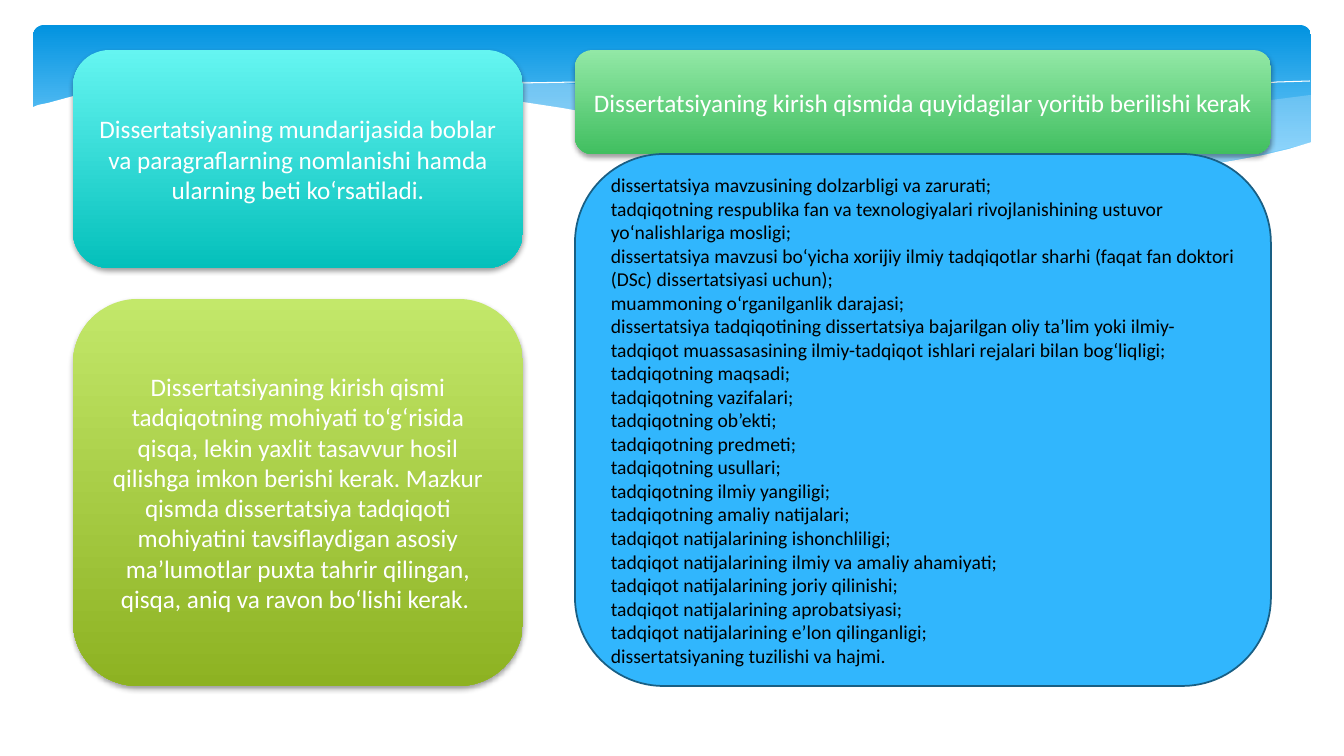
from lxml.etree import SubElement
from pptx import Presentation
from pptx.dml.color import RGBColor
from pptx.enum.shapes import MSO_SHAPE as Preset
from pptx.enum.text import MSO_ANCHOR as Anchor, PP_ALIGN as Align
from pptx.oxml.ns import qn
from pptx.util import Pt

PX = 914400 / 100.8
FONT = "Calibri"
WHITE = RGBColor(0xFF, 0xFF, 0xFF)
BLACK = RGBColor(0, 0, 0)
PALE_BLUE = RGBColor(0xC6, 0xE7, 0xFC)
BLUE = RGBColor(0x31, 0xB6, 0xFD)
DARK_BLUE = RGBColor(0x19, 0x5F, 0x84)
BANNER_BLUES = RGBColor(0x02, 0x93, 0xE0), RGBColor(0x83, 0xD3, 0xFE)
TEALS = RGBColor(0x65, 0xF5, 0xF1), RGBColor(0x04, 0xC0, 0xBB)
LIMES = RGBColor(0xC3, 0xE8, 0x6A), RGBColor(0x8D, 0xB2, 0x22)
GREENS = RGBColor(0x92, 0xE8, 0xA6), RGBColor(0x41, 0xBF, 0x60)

CARDS = [
    ((73, 50, 450, 218), TEALS,
     "Dissertatsiyaning mundarijasida boblar va paragraflarning nomlanishi "
     "hamda ularning beti ko‘rsatiladi."),
    ((73, 299, 450, 387), LIMES,
     "Dissertatsiyaning kirish qismi tadqiqotning mohiyati to‘g‘risida qisqa, "
     "lekin yaxlit tasavvur hosil qilishga imkon berishi kerak. Mazkur qismda "
     "dissertatsiya tadqiqoti mohiyatini tavsiflaydigan asosiy ma’lumotlar "
     "puxta tahrir qilingan, qisqa, aniq va ravon bo‘lishi kerak. "),
    ((575, 50, 696, 104), GREENS,
     "Dissertatsiyaning kirish qismida quyidagilar yoritib berilishi kerak"),
]
INTRO_PARTS = [
    "dissertatsiya mavzusining dolzarbligi va zarurati;",
    "tadqiqotning respublika fan va texnologiyalari rivojlanishining ustuvor "
    "yo‘nalishlariga mosligi;",
    "dissertatsiya mavzusi bo‘yicha xorijiy ilmiy tadqiqotlar sharhi (faqat fan "
    "doktori (DSc) dissertatsiyasi uchun);",
    "muammoning o‘rganilganlik darajasi;",
    "dissertatsiya tadqiqotining dissertatsiya bajarilgan oliy ta’lim yoki "
    "ilmiy-tadqiqot muassasasining ilmiy-tadqiqot ishlari rejalari bilan "
    "bog‘liqligi;",
    "tadqiqotning maqsadi;",
    "tadqiqotning vazifalari;",
    "tadqiqotning ob’ekti;",
    "tadqiqotning predmeti;",
    "tadqiqotning usullari;",
    "tadqiqotning ilmiy yangiligi;",
    "tadqiqotning amaliy natijalari;",
    "tadqiqot natijalarining ishonchliligi;",
    "tadqiqot natijalarining ilmiy va amaliy ahamiyati;",
    "tadqiqot natijalarining joriy qilinishi;",
    "tadqiqot natijalarining aprobatsiyasi;",
    "tadqiqot natijalarining e’lon qilinganligi;",
    "dissertatsiyaning tuzilishi va hajmi.",
]

RIGHT_WAVE = [
    (1310, 95), (1256, 102), (1197, 111), (1156, 119), (1119, 126), (1046, 138),
    (980, 148), (889, 161), (947, 166), (1001, 170), (1049, 173), (1094, 173),
    (1135, 172), (1172, 169), (1206, 165), (1238, 159), (1267, 153), (1311, 143),
    (1311, 95)]
MIDDLE_WAVE = [
    (1200, 168), (1163, 165), (1125, 160), (1042, 150), (949, 135), (846, 117),
    (784, 107), (727, 98), (674, 93), (624, 89), (564, 83), (510, 81), (463, 81),
    (421, 83), (385, 87), (434, 91), (487, 98), (543, 107), (604, 117), (659, 127),
    (712, 136), (761, 144), (808, 151), (853, 157), (894, 162), (933, 166),
    (971, 169), (1006, 171), (1038, 173), (1070, 174), (1113, 174), (1153, 172)]
FALLING_LINE = [
    (415, 91), (441, 87), (474, 84), (520, 83), (582, 82), (630, 84), (685, 87),
    (748, 92), (817, 99), (893, 109), (978, 121), (1068, 137), (1167, 156),
    (1220, 167)]
RISING_LINE = [
    (825, 152), (877, 142), (934, 131), (1005, 118), (1084, 105), (1164, 94),
    (1223, 87), (1277, 82), (1310, 81)]
WHITE_WAVE = [
    (1312, 142), (1289, 149), (1264, 155), (1237, 160), (1208, 165), (1176, 168),
    (1143, 171), (1106, 172), (1066, 172), (1023, 171), (977, 168), (925, 164),
    (870, 157), (810, 150), (746, 140), (676, 129), (601, 115), (562, 108),
    (490, 97), (424, 89), (364, 83), (308, 79), (260, 79), (216, 80), (177, 81),
    (143, 84), (114, 88), (90, 92), (70, 97), (48, 103), (38, 105), (31, 108),
    (31, 226), (1313, 226), (1313, 141)]


def px(length):
    return round(length * PX)


def add_alpha(color, percent):
    SubElement(color, qn("a:alpha"), val=str(percent * 1000))


def add_rounded(box):
    shape = slide.shapes.add_shape(Preset.ROUNDED_RECTANGLE, *map(px, box))
    shape.shadow.inherit = False
    shape.line.fill.background()
    return shape


def fill_gradient(shape, colors, end=1):
    shape.fill.gradient()
    shape.fill.gradient_angle = 270
    for stop, color, position in zip(shape.fill.gradient_stops, colors, (0, end)):
        stop.color.rgb = color
        stop.position = position


def add_drop_shadow(shape):
    effects = shape._element.spPr.find(qn("a:effectLst"))
    shadow = SubElement(effects, qn("a:outerShdw"), blurRad=str(Pt(4)),
                        dist=str(Pt(2)), dir="5400000", rotWithShape="0")
    add_alpha(SubElement(shadow, qn("a:srgbClr"), val=str(BLACK)), 38)


def write(shape, texts, size, color, align):
    frame = shape.text_frame
    frame.word_wrap = True
    frame.vertical_anchor = Anchor.MIDDLE
    frame.text = "\n".join(texts)
    for paragraph in frame.paragraphs:
        paragraph.alignment = align
        paragraph.font.name = FONT
        paragraph.font.size = Pt(size)
        paragraph.font.color.rgb = color


def add_outline(points, closed):
    builder = slide.shapes.build_freeform(*points[0], scale=PX)
    builder.add_line_segments(points[1:], close=closed)
    shape = builder.convert_to_shape()
    shape.shadow.inherit = False
    return shape


def add_wave(points, color, opacity=100):
    wave = add_outline(points, True)
    wave.line.fill.background()
    wave.fill.solid()
    wave.fill.fore_color.rgb = color
    if opacity < 100:
        add_alpha(wave._element.spPr.find(qn("a:solidFill"))[0], opacity)


def add_curve(points):
    curve = add_outline(points, False)
    curve.fill.background()
    curve.line.color.rgb = WHITE
    curve.line.width = Pt(0)


deck = Presentation()
deck.slide_width, deck.slide_height = px(1344), px(756)
slide = deck.slides.add_slide(deck.slide_layouts[6])

banner = add_rounded((33, 25, 1278, 157))
banner.adjustments[0] = 0.07
fill_gradient(banner, BANNER_BLUES, 0.9)
add_wave(RIGHT_WAVE, PALE_BLUE, 29)
add_wave(MIDDLE_WAVE, PALE_BLUE, 40)
add_curve(FALLING_LINE)
add_curve(RISING_LINE)
add_wave(WHITE_WAVE, WHITE)

for box, colors, text in CARDS:
    card = add_rounded(box)
    fill_gradient(card, colors)
    add_drop_shadow(card)
    write(card, [text], 18, WHITE, Align.CENTER)

intro = add_rounded((575, 154, 696, 532))
intro.fill.solid()
intro.fill.fore_color.rgb = BLUE
intro.line.color.rgb = DARK_BLUE
intro.line.width = Pt(1.25)
write(intro, INTRO_PARTS, 14, BLACK, Align.LEFT)

deck.save("out.pptx")
